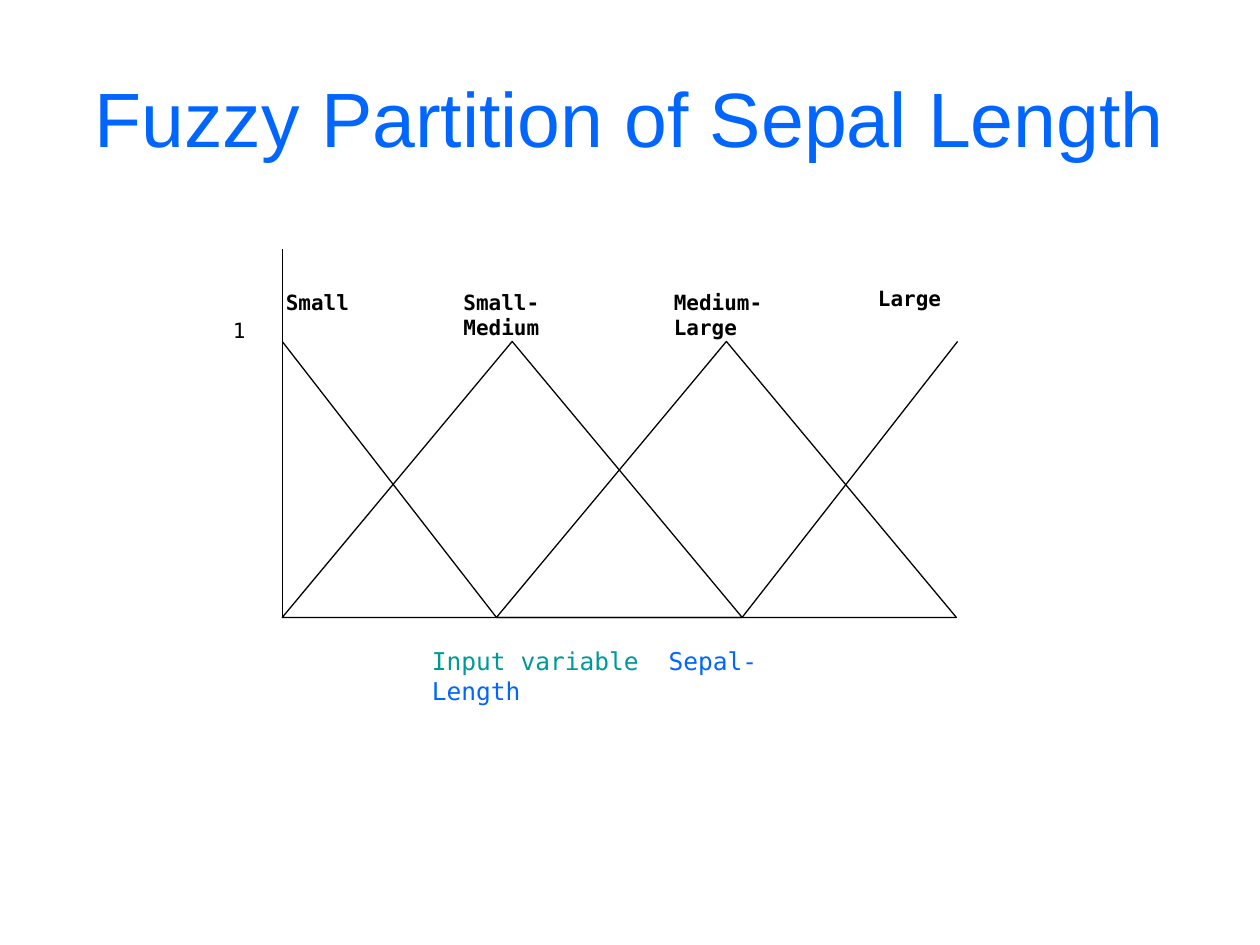
from pptx import Presentation
from pptx.dml.color import RGBColor
from pptx.enum.shapes import MSO_CONNECTOR, MSO_SHAPE
from pptx.enum.text import MSO_ANCHOR, PP_ALIGN
from pptx.oxml.ns import qn
from pptx.util import Inches, Pt
from lxml import etree

MONO = "DejaVu Sans Mono"
BLACK, BLUE, TEAL, WHITE = "000000", "0066FF", "009999", "FFFFFF"
LEFT, RIGHT = 2.24, 7.6
AXIS_TOP, PEAK, BASE = 1.98, 2.71, 4.9
SMALL_END, LARGE_START = 3.94, 5.89
TRIANGLE_WIDTH = LARGE_START - LEFT


def rgb(value):
    return RGBColor.from_string(value)


def style_line(shape):
    shape.line.color.rgb = rgb(BLACK)
    shape.line.width = Pt(0.75)


def style_run(r, size, color, font=MONO, bold=False):
    r.font.name = font
    r.font.size = Pt(size)
    r.font.bold = bold
    r.font.color.rgb = rgb(color)


def add_title(s, text):
    sp = s.shapes.title
    sp.left, sp.top, sp.width, sp.height = map(Inches, (0.5, 0.3, 9, 1.25))
    tf = sp.text_frame
    tf.text = text
    tf.vertical_anchor = MSO_ANCHOR.MIDDLE
    p = tf.paragraphs[0]
    p.alignment = PP_ALIGN.CENTER
    style_run(p.runs[0], 44, BLUE, "Arial")


def add_triangle(s, left):
    sp = s.shapes.add_shape(
        MSO_SHAPE.ISOSCELES_TRIANGLE,
        Inches(left), Inches(PEAK), Inches(TRIANGLE_WIDTH), Inches(BASE - PEAK),
    )
    sp.shadow.inherit = False
    sp.fill.background()
    style_line(sp)


def add_line(s, x1, y1, x2, y2):
    line = s.shapes.add_connector(
        MSO_CONNECTOR.STRAIGHT, Inches(x1), Inches(y1), Inches(x2), Inches(y2)
    )
    style_line(line)
    etree.SubElement(line._element.spPr, qn("a:effectLst"))


def add_text(s, left, top, width, height, pieces, size=12, bold=False):
    sp = s.shapes.add_textbox(Inches(left), Inches(top), Inches(width), Inches(height))
    tf = sp.text_frame
    tf.word_wrap = True
    p = tf.paragraphs[0]
    for text, color in pieces:
        r = p.add_run()
        r.text = text
        style_run(r, size, color, bold=bold)


def main():
    prs = Presentation()
    prs.slide_width, prs.slide_height = Inches(10), Inches(7.5)
    s = prs.slides.add_slide(prs.slide_layouts[5])
    add_title(s, "Fuzzy Partition of Sepal Length")

    for left in (LEFT, SMALL_END):
        add_triangle(s, left)
    add_line(s, LEFT, PEAK, SMALL_END, BASE)
    add_line(s, LARGE_START, BASE, RIGHT, PEAK)
    add_line(s, LEFT, BASE, LEFT, AXIS_TOP)
    add_line(s, LEFT, BASE, 2.72, BASE)

    for text, left, top, width in (
        ("Small", 2.17, 2.25, 0.97),
        ("Small-Medium", 3.58, 2.25, 1.28),
        ("Medium-Large", 5.25, 2.25, 1.33),
        ("Large", 6.87, 2.22, 0.97),
    ):
        add_text(s, left, top, width, 0.49, [(text, BLACK)], bold=True)
    add_text(s, 1.75, 2.47, 0.24, 0.73, [("1", BLACK)])
    caption = [("Input variable", TEAL), (" “", WHITE), ("Sepal-Length", BLUE), ("”", WHITE)]
    add_text(s, 3.33, 5.08, 3.41, 0.49, caption, size=14)

    prs.save("out.pptx")


if __name__ == "__main__":
    main()
